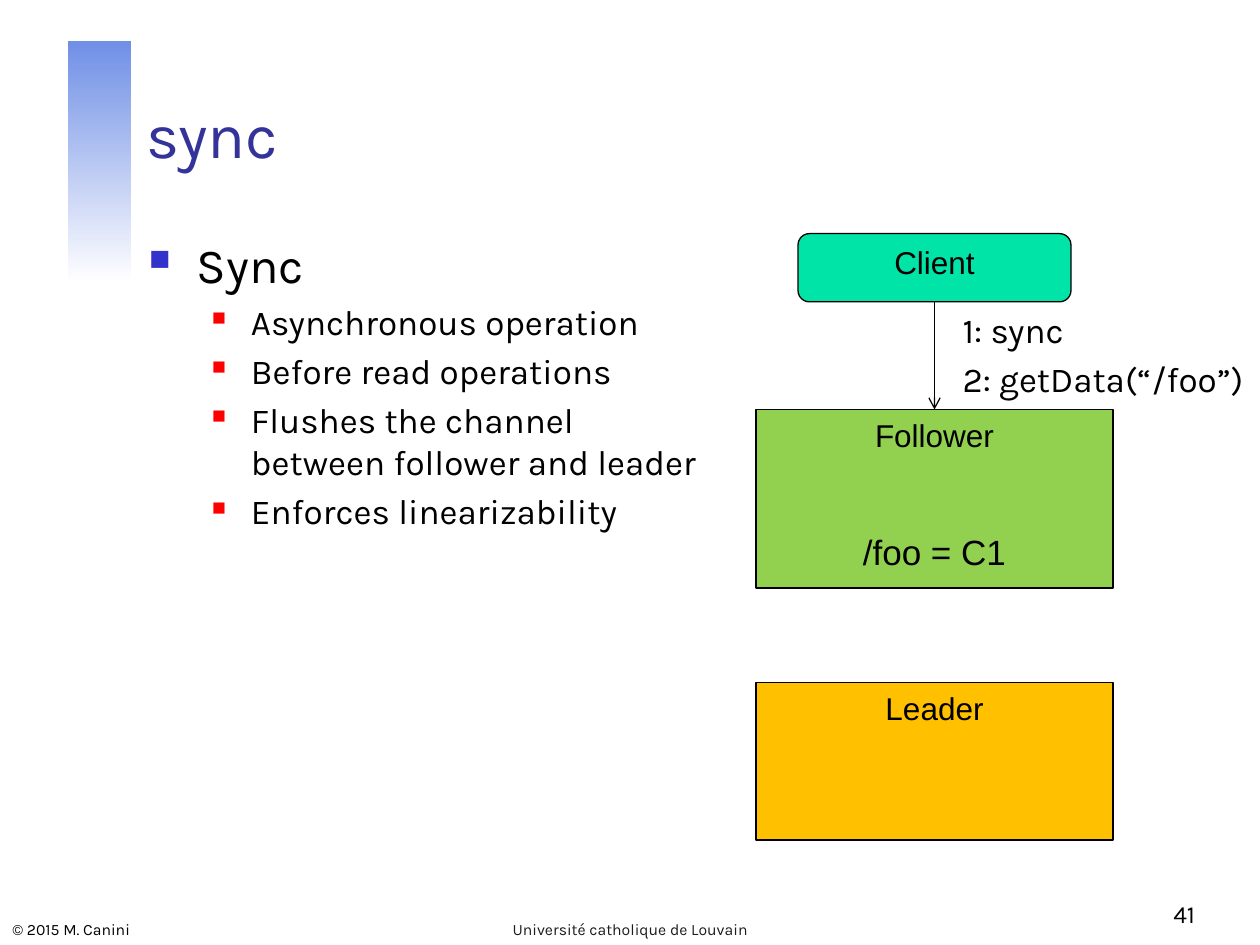
from dataclasses import dataclass

from lxml import etree
from pptx import Presentation, util as u
from pptx.dml.color import RGBColor
from pptx.enum import shapes, text
from pptx.oxml.ns import qn

COLUMNS, ROWS = 120, 90
LEFT, CENTER, RIGHT = text.PP_ALIGN.LEFT, text.PP_ALIGN.CENTER, text.PP_ALIGN.RIGHT
TOP, BOTTOM = text.MSO_ANCHOR.TOP, text.MSO_ANCHOR.BOTTOM


@dataclass(frozen=True)
class Theme:
    body_font: str = "Karla"
    box_font: str = "Arial"
    ink: str = "000000"
    footer_ink: str = "1C1C1C"
    title_ink: str = "333399"
    band: tuple = ("708FE6", "FFFFFF")
    client: str = "00E4A8"
    follower: str = "92D050"
    leader: str = "FFC000"
    bullets: tuple = (("3333CC", 60), ("FF0000", 55))  # colour, size in percent
    indents: tuple = ((0.38, 0.38), (0.81, 0.31))  # margin, hanging, in inches
    title_size: int = 36
    body_sizes: tuple = (28, 20)
    box_size: int = 18
    value_size: int = 20
    number_size: int = 14
    footer_size: int = 9
    line_width: float = 0.75
    spacing: float = 0.2  # space before, as a share of the type size


class SlideBuilder:
    def __init__(self, presentation, theme):
        self.theme = theme
        self.cell_width = presentation.slide_width / COLUMNS
        self.cell_height = presentation.slide_height / ROWS
        self.slide = presentation.slides.add_slide(presentation.slide_layouts[5])

    def place(self, column, row, columns, rows):
        """Turn grid cells into left, top, width and height."""
        return (u.Emu(round(column * self.cell_width)), u.Emu(round(row * self.cell_height)),
                u.Emu(round(columns * self.cell_width)), u.Emu(round(rows * self.cell_height)))

    def style(self, paragraph, size, color=None, font=None, align=LEFT, before=0):
        paragraph.alignment = align
        paragraph.space_before = u.Pt(before)
        paragraph.font.size = u.Pt(size)
        paragraph.font.name = font or self.theme.body_font
        paragraph.font.color.rgb = RGBColor.from_string(color or self.theme.ink)

    def title(self, words, *cells):
        title = self.slide.shapes.title
        title.left, title.top, title.width, title.height = self.place(*cells)
        title.text_frame.text = words
        title.text_frame.vertical_anchor = BOTTOM
        self.style(title.text_frame.paragraphs[0], self.theme.title_size, self.theme.title_ink)

    def band(self, *cells):
        shape = self.slide.shapes.add_shape(shapes.MSO_SHAPE.RECTANGLE, *self.place(*cells))
        shape.shadow.inherit = False
        shape.line.fill.background()
        shape.fill.gradient()
        shape.fill.gradient_angle = 270
        for stop, color in zip(shape.fill.gradient_stops, self.theme.band):
            stop.color.rgb = RGBColor.from_string(color)

    def text(self, lines, cells, size, color=None, align=LEFT, anchor=TOP, wrap=True, before=0):
        frame = self.slide.shapes.add_textbox(*self.place(*cells)).text_frame
        frame.word_wrap = wrap
        frame.vertical_anchor = anchor
        frame.text = "\n".join(lines)
        for paragraph in frame.paragraphs:
            self.style(paragraph, size, color, align=align, before=before)

    def bullet_list(self, items, *cells):
        """Draw (level, words) pairs as a bulleted outline."""
        frame = self.slide.shapes.add_textbox(*self.place(*cells)).text_frame
        frame.word_wrap = True
        for index, (level, words) in enumerate(items):
            paragraph = frame.add_paragraph() if index else frame.paragraphs[0]
            paragraph.text = words
            paragraph.level = level
            self.bullet(paragraph, level)
            size = self.theme.body_sizes[level]
            self.style(paragraph, size, before=size * self.theme.spacing)

    def bullet(self, paragraph, level):
        color, percent = self.theme.bullets[level]
        margin, hanging = self.theme.indents[level]
        properties = paragraph._p.get_or_add_pPr()
        properties.set("marL", str(u.Inches(margin)))
        properties.set("indent", str(-u.Inches(hanging)))
        bullet_color = etree.SubElement(properties, qn("a:buClr"))
        etree.SubElement(bullet_color, qn("a:srgbClr"), val=color)
        etree.SubElement(properties, qn("a:buSzPct"), val=str(percent * 1000))
        etree.SubElement(properties, qn("a:buChar"), char="■")

    def box(self, name, color, *cells, kind=shapes.MSO_SHAPE.RECTANGLE, value=None, gap=0):
        shape = self.slide.shapes.add_shape(kind, *self.place(*cells))
        shape.shadow.inherit = False
        shape.fill.solid()
        shape.fill.fore_color.rgb = RGBColor.from_string(color)
        shape.line.color.rgb = RGBColor.from_string(self.theme.ink)
        shape.line.width = u.Pt(self.theme.line_width)
        frame = shape.text_frame
        frame.vertical_anchor = TOP
        frame.text = name
        font = self.theme.box_font
        self.style(frame.paragraphs[0], self.theme.box_size, font=font, align=CENTER)
        if value:
            paragraph = frame.add_paragraph()
            paragraph.text = value
            self.style(paragraph, self.theme.value_size, font=font, align=CENTER, before=gap)
        return shape

    def arrow_down(self, upper, lower):
        arrow = self.slide.shapes.add_connector(shapes.MSO_CONNECTOR.STRAIGHT, 0, 0, 0, 0)
        arrow.begin_connect(upper, 2)
        arrow.end_connect(lower, 0)
        arrow.line.color.rgb = RGBColor.from_string(self.theme.ink)
        arrow.line.width = u.Pt(self.theme.line_width)
        etree.SubElement(arrow.line._get_or_add_ln(), qn("a:tailEnd"), type="arrow")
        etree.SubElement(arrow._element.spPr, qn("a:effectLst"))


def main():
    presentation = Presentation()
    presentation.slide_width, presentation.slide_height = u.Inches(10), u.Inches(7.5)
    theme = Theme()
    builder = SlideBuilder(presentation, theme)

    builder.band(6.5, 3.9, 6, 23.1)
    builder.title("sync", 12.75, 4, 102.25, 12.9)
    builder.bullet_list([
        (0, "Sync"),
        (1, "Asynchronous operation"),
        (1, "Before read operations"),
        (1, "Flushes the channel\vbetween follower and leader"),
        (1, "Enforces linearizability"),
    ], 13, 21.75, 102, 59.5)

    client = builder.box("Client", theme.client, 76, 22.25, 26, 6.5,
                         kind=shapes.MSO_SHAPE.ROUNDED_RECTANGLE)
    follower = builder.box("Follower", theme.follower, 72, 39, 34, 17,
                           value="/foo = C1", gap=44)
    builder.box("Leader", theme.leader, 72, 65, 34, 15)
    builder.arrow_down(client, follower)
    size = theme.body_sizes[1]
    builder.text(["1: sync", "2: getData(“/foo”)"], (90.5, 28.8, 29.5, 10.1), size,
                 wrap=False, before=size * theme.spacing)

    builder.text(["© 2015 M. Canini"], (0, 86.6, 36.25, 3.4), theme.footer_size, anchor=BOTTOM)
    builder.text(["Université catholique de Louvain"], (41, 86.6, 38, 3.4), theme.footer_size,
                 theme.footer_ink, CENTER, BOTTOM)
    builder.text(["41"], (90, 83, 25, 6), theme.number_size, align=RIGHT, anchor=BOTTOM)
    presentation.save("out.pptx")


if __name__ == "__main__":
    main()
